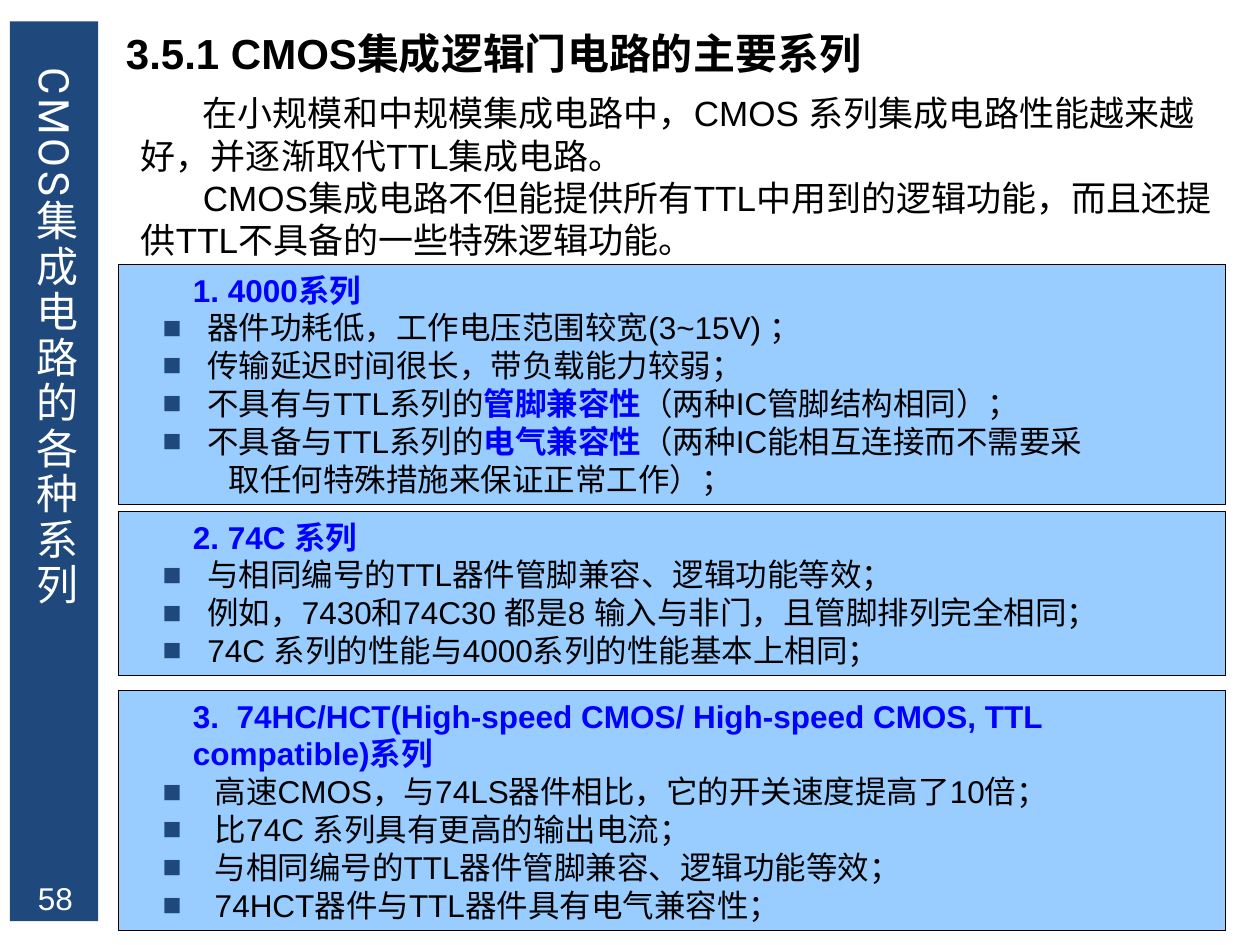
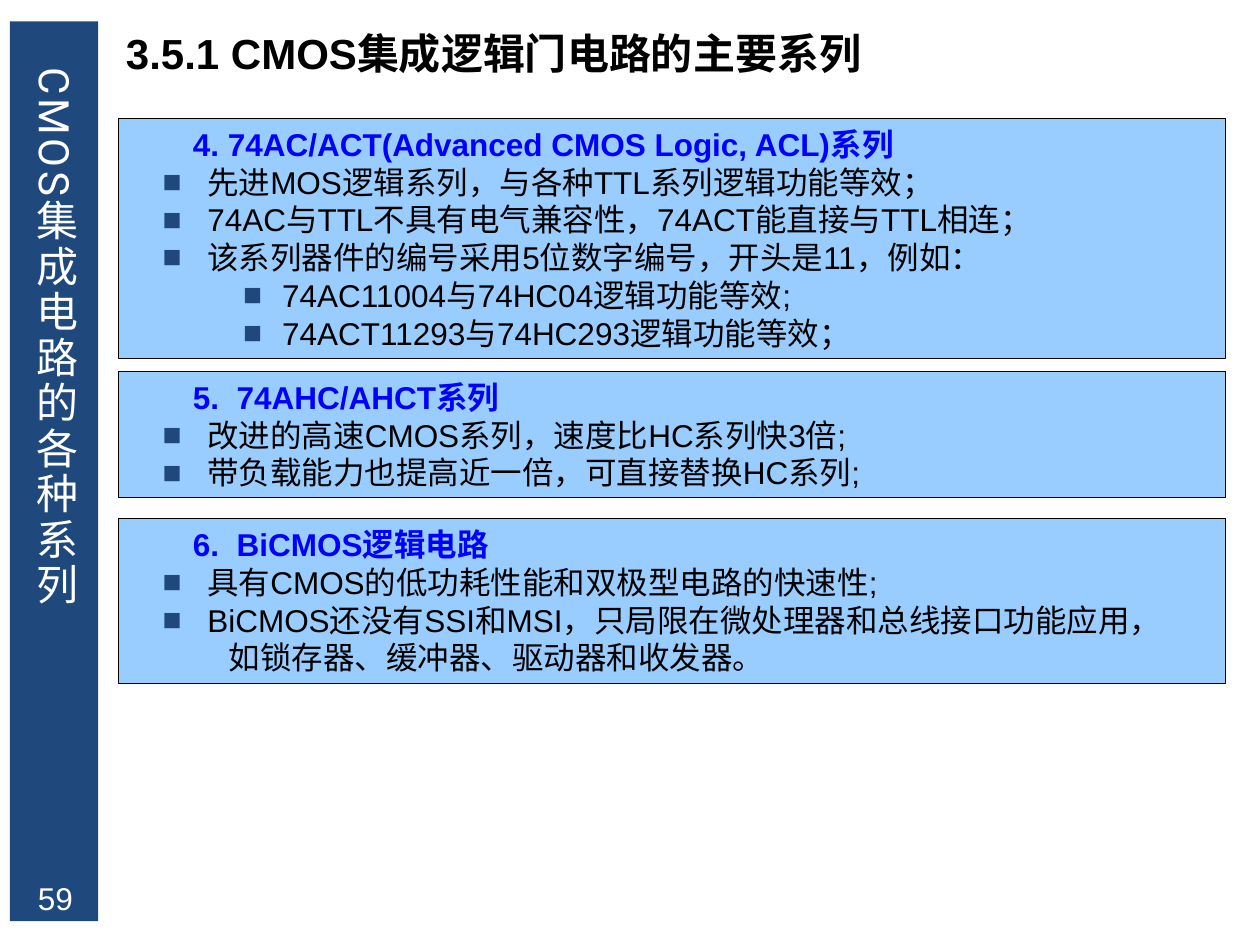
from lxml import etree
from pptx import Presentation
from pptx.dml.color import RGBColor
from pptx.enum import shapes, text
from pptx.oxml.ns import qn
from pptx.util import Cm, Pt

CHAPTER = "CMOS集成电路的各种系列"
SECTION = "3.5.1 CMOS集成逻辑门电路的主要系列"
NAVY, SKY, BLUE, BLACK, WHITE = "1F497D", "99CCFF", "0000FF", "000000", "FFFFFF"

# Paragraph kinds: left margin and first-line indent in cm, bulleted or not
KINDS = {
    "heading": (1.25, 0, False),
    "point": (1.54, -0.9, True),
    "wide point": (1.69, -1.05, True),
    "example": (3.05, -0.79, True),
    "continuation": (1.97, 0, False),
}
PANEL_LEFT, PANEL_WIDTH = 2.39, 22.32
LINE_HEIGHT, PANEL_PADDING = 0.766, 0.25

# Each panel: top in cm, number of text lines, paragraphs; *…* marks a key term
SLIDES = [
    {
        "number": 58,
        "intro": [
            "在小规模和中规模集成电路中，CMOS 系列集成电路性能越来越好，并逐渐取代TTL集成电路。",
            "CMOS集成电路不但能提供所有TTL中用到的逻辑功能，而且还提供TTL不具备的一些特殊逻辑功能。",
        ],
        "panels": [
            (5.33, 6, [
                ("heading", "1. 4000系列"),
                ("point", "器件功耗低，工作电压范围较宽(3~15V) ；"),
                ("point", "传输延迟时间很长，带负载能力较弱；"),
                ("point", "不具有与TTL系列的*管脚兼容性*（两种IC管脚结构相同）；"),
                ("point", "不具备与TTL系列的*电气兼容性*（两种IC能相互连接而不需要采"),
                ("continuation", "取任何特殊措施来保证正常工作）；"),
            ]),
            (10.31, 4, [
                ("heading", "2. 74C 系列"),
                ("point", "与相同编号的TTL器件管脚兼容、逻辑功能等效；"),
                ("point", "例如，7430和74C30 都是8 输入与非门，且管脚排列完全相同；"),
                ("point", "74C 系列的性能与4000系列的性能基本上相同；"),
            ]),
            (13.92, 6, [
                ("heading", "3.  74HC/HCT(High-speed CMOS/ High-speed CMOS, TTL compatible)系列"),
                ("wide point", "高速CMOS，与74LS器件相比，它的开关速度提高了10倍；"),
                ("wide point", "比74C 系列具有更高的输出电流；"),
                ("wide point", "与相同编号的TTL器件管脚兼容、逻辑功能等效；"),
                ("wide point", "74HCT器件与TTL器件具有电气兼容性；"),
            ]),
        ],
    },
    {
        "number": 59,
        "intro": [],
        "panels": [
            (2.39, 6, [
                ("heading", "4. 74AC/ACT(Advanced CMOS Logic, ACL)系列"),
                ("point", "先进MOS逻辑系列，与各种TTL系列逻辑功能等效；"),
                ("point", "74AC与TTL不具有电气兼容性，74ACT能直接与TTL相连；"),
                ("point", "该系列器件的编号采用5位数字编号，开头是11，例如："),
                ("example", "74AC11004与74HC04逻辑功能等效;"),
                ("example", "74ACT11293与74HC293逻辑功能等效；"),
            ]),
            (7.49, 3, [
                ("heading", "5.  74AHC/AHCT系列"),
                ("point", "改进的高速CMOS系列，速度比HC系列快3倍;"),
                ("point", "带负载能力也提高近一倍，可直接替换HC系列;"),
            ]),
            (10.46, 4, [
                ("heading", "6.  BiCMOS逻辑电路"),
                ("point", "具有CMOS的低功耗性能和双极型电路的快速性;"),
                ("point", "BiCMOS还没有SSI和MSI，只局限在微处理器和总线接口功能应用，"),
                ("continuation", "如锁存器、缓冲器、驱动器和收发器。"),
            ]),
        ],
    },
]


def rgb(color):
    return RGBColor.from_string(color)


def style(run, size, color, bold=False, font="Arial"):
    run.font.name, run.font.size, run.font.bold = font, Pt(size), bold
    run.font.color.rgb = rgb(color)


def indent(paragraph, margin, first_line, bulleted=False):
    props = paragraph._p.get_or_add_pPr()
    props.set("marL", str(Cm(margin)))
    props.set("indent", str(Cm(first_line)))
    if bulleted:
        color = etree.SubElement(props, qn("a:buClr"))
        etree.SubElement(color, qn("a:srgbClr"), val=NAVY)
        etree.SubElement(props, qn("a:buFont"), typeface="Arial")
        etree.SubElement(props, qn("a:buChar"), char="■")


def add_rectangle(slide, place, fill, line=None):
    rectangle = slide.shapes.add_shape(
        shapes.MSO_SHAPE.RECTANGLE, *(Cm(length) for length in place))
    rectangle.shadow.inherit = False
    rectangle.fill.solid()
    rectangle.fill.fore_color.rgb = rgb(fill)
    if line:
        rectangle.line.color.rgb = rgb(line)
        rectangle.line.width = Pt(0.75)
    else:
        rectangle.line.fill.background()
    return rectangle


def add_text(slide, place, paragraphs, size, color, **looks):
    frame = slide.shapes.add_textbox(*(Cm(length) for length in place)).text_frame
    frame.word_wrap = True
    frame.text = "\n".join(paragraphs)
    for paragraph in frame.paragraphs:
        for run in paragraph.runs:
            style(run, size, color, **looks)
    return frame


def add_frame(slide, number):
    """Draw the side band, chapter title, page number and section title."""
    add_rectangle(slide, (0.2, 0.43, 1.78, 18.14), NAVY)
    chapter = add_text(slide, (0.3, 1.12, 1.65, 17.07), [CHAPTER], 24, WHITE, font="Roboto")
    chapter.vertical_anchor = text.MSO_ANCHOR.MIDDLE
    chapter._txBody.bodyPr.set("vert", "eaVert")
    for run in chapter.paragraphs[0].runs:
        run.font._element.set("spc", "200")
    page = add_text(slide, (0.3, 17.53, 1.63, 0.89), [str(number)], 18, WHITE)
    page.margin_top = Cm(0.2)
    page.paragraphs[0].alignment = text.PP_ALIGN.CENTER
    add_text(slide, (2.29, 0.43, 23.11, 1.3), [SECTION], 24, BLACK, bold=True)


def add_panel(slide, top, lines, items):
    height = PANEL_PADDING + lines * LINE_HEIGHT
    panel = add_rectangle(slide, (PANEL_LEFT, top, PANEL_WIDTH, height), SKY, BLACK)
    frame = panel.text_frame
    frame.word_wrap = True
    frame.vertical_anchor = text.MSO_ANCHOR.TOP
    for index, (kind, content) in enumerate(items):
        paragraph = frame.add_paragraph() if index else frame.paragraphs[0]
        paragraph.alignment = text.PP_ALIGN.LEFT
        indent(paragraph, *KINDS[kind])
        for part, words in enumerate(content.split("*")):
            run = paragraph.add_run()
            run.text = words
            key = kind == "heading" or part % 2 == 1
            style(run, 18, BLUE if key else BLACK, bold=key)


def main():
    deck = Presentation()
    deck.slide_width, deck.slide_height = Cm(25.4), Cm(19.05)
    for content in SLIDES:
        slide = deck.slides.add_slide(deck.slide_layouts[6])
        add_frame(slide, content["number"])
        if content["intro"]:
            intro = add_text(slide, (2.59, 1.73, 22.33, 3.63), content["intro"], 20, BLACK)
            for paragraph in intro.paragraphs:
                indent(paragraph, 0, 1.25)
        for panel in content["panels"]:
            add_panel(slide, *panel)
    deck.save("out.pptx")


if __name__ == "__main__":
    main()
